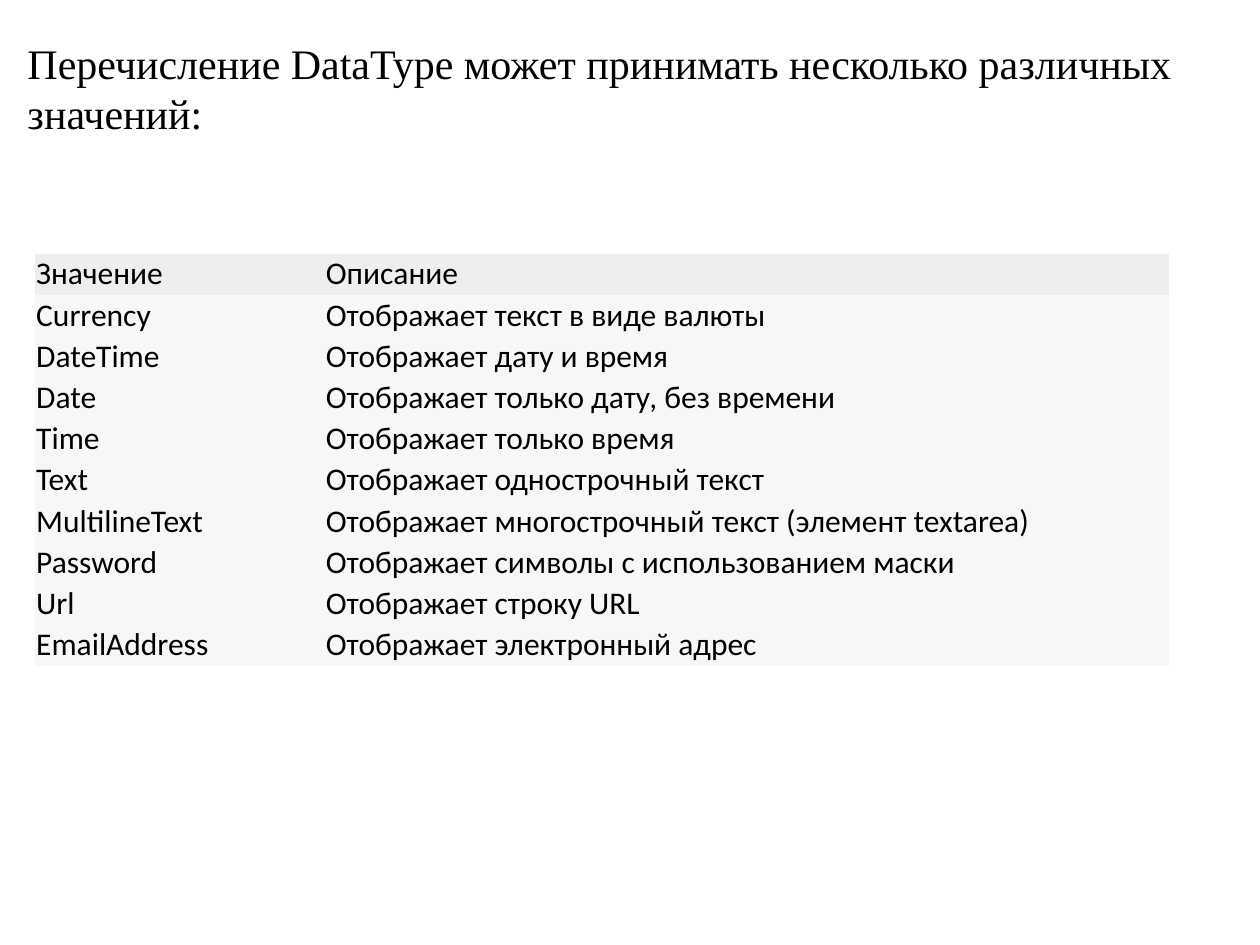
from pptx import Presentation
from pptx.dml.color import RGBColor
from pptx.enum.text import MSO_ANCHOR as Anchor, MSO_AUTO_SIZE as Fit, PP_ALIGN as Align
from pptx.util import Cm, Pt

# Content
TITLE = "Перечисление DataType может принимать несколько различных значений:"
ROWS = [
    ("Значение", "Описание"),
    ("Currency", "Отображает текст в виде валюты"),
    ("DateTime", "Отображает дату и время"),
    ("Date", "Отображает только дату, без времени"),
    ("Time", "Отображает только время"),
    ("Text", "Отображает однострочный текст"),
    ("MultilineText", "Отображает многострочный текст (элемент textarea)"),
    ("Password", "Отображает символы с использованием маски"),
    ("Url", "Отображает строку URL"),
    ("EmailAddress", "Отображает электронный адрес"),
]
WIDTHS = [5.84, 17.02]
ROW_H = 0.83
PAD = Cm(0.02)

BLACK = RGBColor(0x00, 0x00, 0x00)
HEAD = RGBColor(0xEE, 0xEE, 0xEE)
BODY = RGBColor(0xF7, 0xF7, 0xFA)
PLAIN = "{2D5ABB26-0587-4C30-8999-92F81FD0307C}"  # no style, no grid


def style(par, face, size):
    par.alignment = Align.LEFT
    for run in par.runs:
        run.font.name = face
        run.font.size = Pt(size)
        run.font.color.rgb = BLACK


deck = Presentation()
deck.slide_width, deck.slide_height = Cm(25.4), Cm(19.05)
slide = deck.slides.add_slide(deck.slide_layouts[5])

# Title
title = slide.shapes.title
title.left, title.top, title.width, title.height = Cm(0.3), Cm(0.61), Cm(24.41), Cm(2.31)
frame = title.text_frame
frame.text = TITLE
frame.word_wrap = True
frame.auto_size = Fit.SHAPE_TO_FIT_TEXT
frame.vertical_anchor = Anchor.MIDDLE
style(frame.paragraphs[0], "Times New Roman", 24)

# Table of values
holder = slide.shapes.add_table(len(ROWS), len(WIDTHS), Cm(0.71), Cm(5.12),
                                Cm(sum(WIDTHS)), Cm(ROW_H * len(ROWS)))
table = holder.table
table.first_row = table.horz_banding = False
for node in holder.element.iter("{*}tableStyleId"):
    node.text = PLAIN
for col, width in zip(table.columns, WIDTHS):
    col.width = Cm(width)

for r, texts in enumerate(ROWS):
    table.rows[r].height = Cm(ROW_H)
    for c, text in enumerate(texts):
        cell = table.cell(r, c)
        cell.text = text
        cell.margin_left = cell.margin_right = PAD
        cell.margin_top = cell.margin_bottom = PAD
        cell.fill.solid()
        cell.fill.fore_color.rgb = BODY if r else HEAD
        style(cell.text_frame.paragraphs[0], "Calibri", 18)

deck.save("out.pptx")
